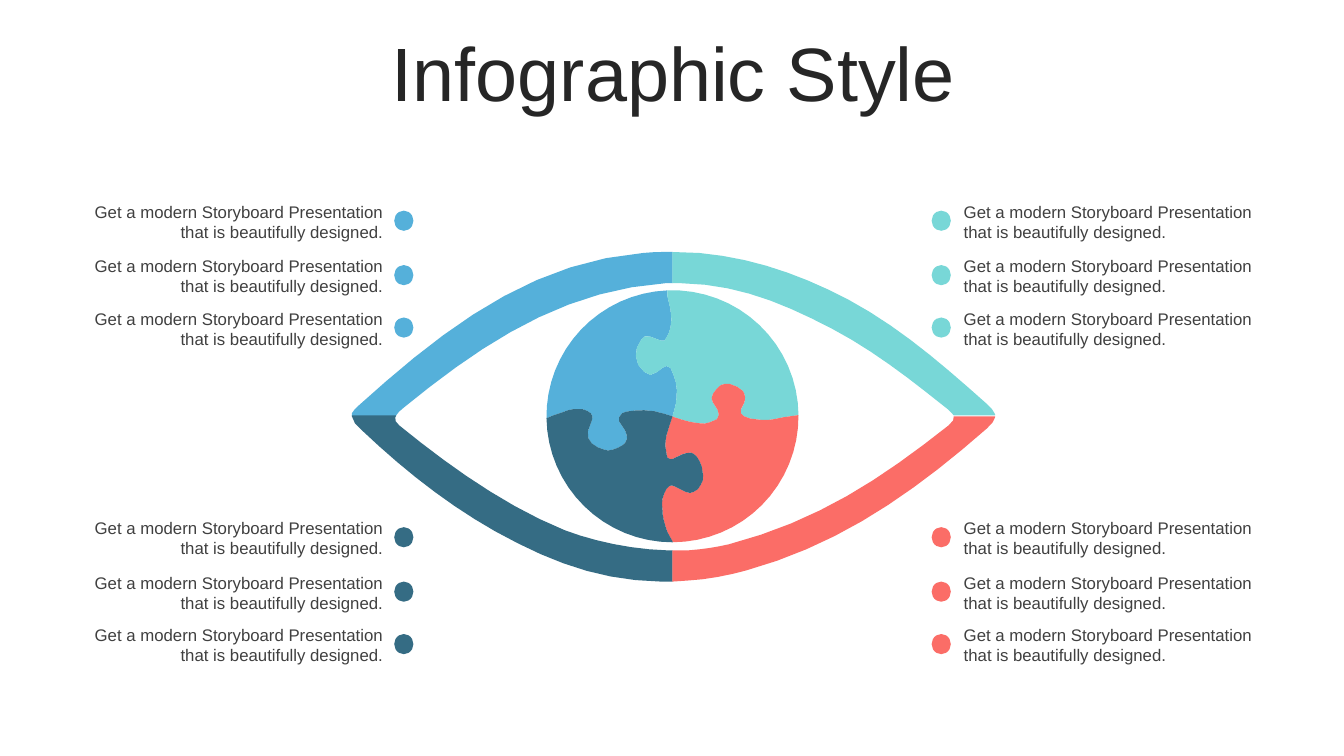
from dataclasses import dataclass
from math import atan2, ceil, cos, dist, sin, sqrt, tau

from pptx import Presentation
from pptx.dml.color import RGBColor
from pptx.enum.shapes import MSO_SHAPE as Preset
from pptx.enum.text import MSO_ANCHOR as Anchor, MSO_AUTO_SIZE as AutoSize, PP_ALIGN as Align
from pptx.util import Inches, Pt


@dataclass(frozen=True)
class Theme:
    font: str = "Arial"
    title_size: int = 54
    body_size: int = 12
    title: str = "262626"
    body: str = "404040"
    blue: str = "55B0DA"
    teal: str = "78D7D7"
    navy: str = "356C84"
    coral: str = "FB6D67"


THEME = Theme()
ITEM = "Get a modern Storyboard Presentation that is beautifully designed."
ROWS = (0, 0.54, 1.06)

# Outlines in inches: M starts, L draws a line, C draws a cubic curve.
LIDS = (
    (THEME.blue, """M 6.67 2.5 L 6.67 2.81 L 6.6 2.81
        C 5.57 2.88 4.77 3.42 4.01 4.04 C 3.97 4.07 3.94 4.1 3.93 4.12 L 3.93 4.13
        L 3.49 4.13 L 3.49 4.1 C 3.5 4.08 3.52 4.06 3.55 4.03
        C 4.37 3.29 5.24 2.6 6.38 2.51 C 6.48 2.5 6.57 2.5 6.66 2.5"""),
    (THEME.teal, """M 6.67 2.5 L 6.94 2.51 C 7.48 2.56 7.95 2.73 8.41 2.97
        C 8.93 3.25 9.34 3.61 9.78 4 C 9.82 4.04 9.86 4.07 9.87 4.11 L 9.87 4.12
        L 9.46 4.12 L 9.45 4.11 C 9.43 4.08 9.39 4.05 9.35 4.02
        C 9 3.74 8.65 3.47 8.25 3.26 C 7.77 3.01 7.32 2.82 6.76 2.81 L 6.67 2.81"""),
    (THEME.navy, """M 3.49 4.12 L 3.93 4.12 L 3.92 4.14 C 3.91 4.17 3.93 4.19 3.96 4.22
        C 4.45 4.62 5.01 5.02 5.6 5.26 C 5.89 5.37 6.26 5.45 6.62 5.46 L 6.67 5.46
        L 6.67 5.77 L 6.56 5.77 C 5.94 5.76 5.45 5.57 4.91 5.27
        C 4.43 5 3.99 4.65 3.58 4.26 C 3.54 4.22 3.49 4.18 3.49 4.13"""),
    (THEME.coral, """M 9.46 4.13 L 9.87 4.13 L 9.87 4.14 C 9.86 4.17 9.84 4.21 9.79 4.25
        C 9.07 4.88 8.34 5.4 7.4 5.66 C 7.22 5.71 7.01 5.75 6.82 5.76 L 6.67 5.77
        L 6.67 5.46 L 6.83 5.46 C 6.97 5.45 7.1 5.43 7.23 5.4
        C 8.11 5.17 8.74 4.75 9.41 4.22 C 9.45 4.18 9.47 4.16 9.46 4.13"""),
)

# Seams between the puzzle pieces, each running from the pupil to the rim.
LEFT_SEAM = """M 6.67 4.13 L 6.57 4.1 L 6.49 4.08 C 6.46 4.08 6.43 4.07 6.39 4.07
    C 6.34 4.07 6.29 4.07 6.24 4.08 C 6.22 4.08 6.19 4.09 6.17 4.1
    L 6.14 4.14 L 6.14 4.18 C 6.16 4.21 6.18 4.24 6.2 4.27
    C 6.21 4.3 6.22 4.32 6.22 4.35 C 6.21 4.39 6.19 4.41 6.17 4.42
    C 6.14 4.44 6.11 4.45 6.08 4.46 L 6.03 4.47
    L 5.99 4.46 C 5.94 4.45 5.91 4.43 5.87 4.4
    C 5.84 4.37 5.82 4.33 5.83 4.28 C 5.84 4.24 5.86 4.21 5.87 4.17
    C 5.88 4.15 5.88 4.12 5.86 4.1 C 5.84 4.08 5.81 4.07 5.78 4.06 L 5.68 4.06
    C 5.65 4.07 5.61 4.07 5.58 4.09 L 5.49 4.12 L 5.42 4.15"""
TOP_SEAM = """M 6.67 4.13 L 6.69 4.06 C 6.7 4.02 6.71 3.99 6.71 3.95
    C 6.72 3.87 6.71 3.79 6.68 3.72 C 6.67 3.7 6.66 3.67 6.65 3.65
    C 6.62 3.63 6.6 3.62 6.57 3.65 L 6.52 3.69
    C 6.47 3.73 6.43 3.73 6.39 3.69 L 6.33 3.62
    C 6.29 3.53 6.3 3.45 6.36 3.37 C 6.38 3.33 6.41 3.33 6.45 3.34
    L 6.53 3.37 L 6.56 3.38 L 6.59 3.38 L 6.61 3.35
    C 6.63 3.32 6.64 3.29 6.65 3.25 L 6.66 3.17 L 6.65 3.07 L 6.62 2.94 L 6.62 2.88"""
RIGHT_SEAM = """M 6.67 4.13 L 6.69 4.14 C 6.75 4.16 6.81 4.18 6.87 4.19
    L 6.94 4.2 C 6.97 4.21 7.01 4.2 7.04 4.19
    C 7.06 4.18 7.09 4.17 7.11 4.16 C 7.13 4.13 7.14 4.11 7.12 4.07
    L 7.07 3.99 C 7.06 3.97 7.05 3.94 7.07 3.91
    C 7.09 3.87 7.12 3.85 7.15 3.82 C 7.18 3.81 7.21 3.8 7.24 3.81
    C 7.29 3.82 7.34 3.85 7.37 3.88 C 7.38 3.9 7.39 3.92 7.39 3.94
    C 7.39 3.96 7.39 3.98 7.38 4 L 7.35 4.06
    C 7.34 4.09 7.35 4.12 7.38 4.13 C 7.42 4.15 7.46 4.16 7.5 4.16
    C 7.56 4.17 7.62 4.17 7.67 4.16 L 7.77 4.14 L 7.91 4.12"""
BOTTOM_SEAM = """M 6.67 4.13 L 6.64 4.22 L 6.61 4.32
    C 6.6 4.37 6.59 4.43 6.61 4.49 C 6.61 4.5 6.61 4.52 6.62 4.54
    C 6.64 4.56 6.66 4.56 6.68 4.55 L 6.76 4.51
    C 6.79 4.5 6.82 4.49 6.85 4.49 C 6.87 4.49 6.89 4.51 6.91 4.53
    C 6.93 4.56 6.95 4.59 6.96 4.63 C 6.98 4.74 6.98 4.76 6.95 4.81
    C 6.94 4.84 6.91 4.87 6.88 4.88 C 6.86 4.9 6.83 4.89 6.8 4.88
    L 6.7 4.83 C 6.68 4.82 6.66 4.81 6.64 4.82 L 6.61 4.85
    C 6.59 4.88 6.58 4.92 6.57 4.95 C 6.57 4.98 6.56 5.02 6.57 5.05
    C 6.57 5.11 6.58 5.16 6.6 5.22 L 6.62 5.28 L 6.67 5.37"""
SEAMS = (LEFT_SEAM, TOP_SEAM, RIGHT_SEAM, BOTTOM_SEAM)
PIECE_COLORS = (THEME.blue, THEME.teal, THEME.coral, THEME.navy)
IRIS_X, IRIS_Y, IRIS_RADIUS = 6.67, 4.13, 1.25


def trace(outline):
    """Turn an outline string into points, with more steps on longer curves."""
    tokens = iter(outline.split())
    points = []
    for command in tokens:
        count = 3 if command == "C" else 1
        ends = [(float(next(tokens)), float(next(tokens))) for _ in range(count)]
        if count == 1:
            points += ends
            continue
        steps = ceil(5 * sqrt(dist(points[-1], ends[-1])))
        controls = list(zip(points[-1], *ends))
        for step in range(1, steps + 1):
            t = step / steps
            u = 1 - t
            points.append(tuple(
                u**3 * a + 3 * u * u * t * b + 3 * u * t * t * c + t**3 * d
                for a, b, c, d in controls))
    return points


def iris_arc(start, end, steps=16):
    """Points on the rim, clockwise between two seam ends."""
    first, last = (atan2(y - IRIS_Y, x - IRIS_X) for x, y in (start, end))
    sweep = (last - first) % tau
    angles = [first + sweep * step / steps for step in range(steps + 1)]
    return [(IRIS_X + IRIS_RADIUS * cos(a), IRIS_Y + IRIS_RADIUS * sin(a)) for a in angles]


def paint(shape, color):
    shape.shadow.inherit = False
    shape.fill.solid()
    shape.fill.fore_color.rgb = RGBColor.from_string(color)
    shape.line.fill.background()


def add_outline(shapes, points, color):
    first, *others = [(Inches(x), Inches(y)) for x, y in points]
    builder = shapes.build_freeform(*first)
    builder.add_line_segments(others, close=True)
    paint(builder.convert_to_shape(), color)


def add_text(shapes, place, text, size, color, align):
    box = shapes.add_textbox(*map(Inches, place))
    box.text_frame.word_wrap = True
    para = box.text_frame.paragraphs[0]
    para.alignment = align
    span = para.add_run()
    span.text = text
    span.font.name = THEME.font
    span.font.size = Pt(size)
    span.font.color.rgb = RGBColor.from_string(color)
    return box


def add_title(slide):
    box = add_text(slide.shapes, (0.35, 0.37, 12.66, 0.79), "Infographic Style",
                   THEME.title_size, THEME.title, Align.CENTER)
    box.text_frame.vertical_anchor = Anchor.MIDDLE
    box.text_frame.paragraphs[0].line_spacing = 0.9


def add_iris(slide):
    group = slide.shapes.add_group_shape()
    seams = [trace(seam) for seam in SEAMS]
    for index, color in enumerate(PIECE_COLORS):
        seam, following = seams[index], seams[(index + 1) % len(seams)]
        rim = iris_arc(seam[-1], following[-1])
        add_outline(group.shapes, seam + rim + following[::-1], color)


def add_list(slide, top, color, on_left):
    group = slide.shapes.add_group_shape()
    dot_left, text_left, width, align = (
        (3.91, 0.7, 3.2, Align.RIGHT) if on_left else (9.24, 9.46, 3.18, Align.LEFT))
    for row in ROWS:
        place = map(Inches, (dot_left, top + row + 0.14, 0.19, 0.2))
        paint(group.shapes.add_shape(Preset.FLOWCHART_CONNECTOR, *place), color)
        box = add_text(group.shapes, (text_left, top + row, width, 0.5), ITEM,
                       THEME.body_size, THEME.body, align)
        box.text_frame.auto_size = AutoSize.SHAPE_TO_FIT_TEXT


def main():
    deck = Presentation()
    deck.slide_width, deck.slide_height = Inches(13.33), Inches(7.5)
    slide = deck.slides.add_slide(deck.slide_layouts[6])
    add_title(slide)
    for color, outline in LIDS:
        add_outline(slide.shapes, trace(outline), color)
    add_iris(slide)
    add_list(slide, 1.95, THEME.blue, on_left=True)
    add_list(slide, 1.95, THEME.teal, on_left=False)
    add_list(slide, 5.09, THEME.navy, on_left=True)
    add_list(slide, 5.09, THEME.coral, on_left=False)
    deck.save("out.pptx")


if __name__ == "__main__":
    main()
